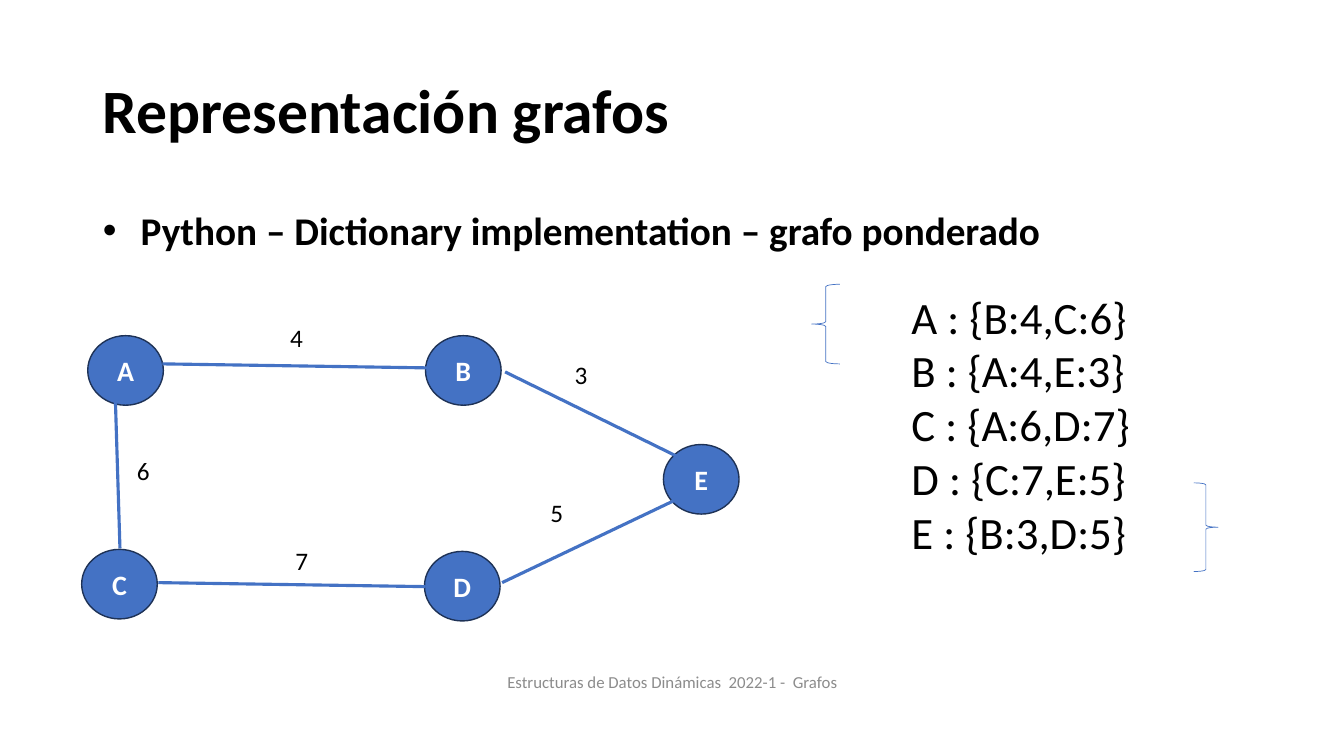
from dataclasses import dataclass

from lxml.etree import SubElement
from pptx import Presentation
from pptx.dml.color import RGBColor
from pptx.enum.shapes import MSO_CONNECTOR, MSO_SHAPE
from pptx.enum.text import MSO_ANCHOR, PP_ALIGN
from pptx.oxml.ns import qn
from pptx.shapes.base import BaseShape
from pptx.slide import Slide
from pptx.util import Inches, Pt

BLUE = "4472C4"
NAVY = "1E3256"
BLACK = "000000"
WHITE = "FFFFFF"
GREY = "8C8C8C"
FONT = "Calibri"
NODE_WIDTH, NODE_HEIGHT = 0.75, 0.69
LABEL_WIDTH, LABEL_HEIGHT = 0.51, 0.4


@dataclass(frozen=True)
class Node:
    name: str
    left: float
    top: float


@dataclass(frozen=True)
class Edge:
    ends: str
    weight: int
    start: tuple[float, float]
    finish: tuple[float, float]
    label: tuple[float, float]


@dataclass(frozen=True)
class Brace:
    kind: MSO_SHAPE
    left: float
    top: float
    width: float
    height: float


NODES = [
    Node("A", 0.87, 3.33),
    Node("B", 4.22, 3.33),
    Node("C", 0.81, 5.45),
    Node("D", 4.21, 5.47),
    Node("E", 6.58, 4.41),
]
EDGES = [
    Edge("AB", 4, (1.61, 3.61), (4.27, 3.65), (2.78, 3.15)),
    Edge("AC", 6, (1.14, 3.82), (1.19, 5.44), (1.26, 4.47)),
    Edge("BE", 3, (5.01, 3.69), (6.72, 4.53), (5.6, 3.52)),
    Edge("CD", 7, (1.57, 5.78), (4.22, 5.82), (2.83, 5.36)),
    Edge("DE", 5, (4.98, 5.78), (6.72, 4.95), (5.36, 4.88)),
]
BRACES = [
    Brace(MSO_SHAPE.LEFT_BRACE, 8.05, 2.82, 0.28, 0.79),
    Brace(MSO_SHAPE.RIGHT_BRACE, 11.84, 4.79, 0.24, 0.88),
]


def rgb(value: str) -> RGBColor:
    return RGBColor.from_string(value)


def place(shape: BaseShape, left: float, top: float, width: float, height: float) -> None:
    shape.left, shape.top = Inches(left), Inches(top)
    shape.width, shape.height = Inches(width), Inches(height)


def write(shape: BaseShape, lines: list[str], size: float, colour: str = BLACK,
          bold: bool = False, align: PP_ALIGN = PP_ALIGN.LEFT,
          anchor: MSO_ANCHOR = MSO_ANCHOR.TOP) -> None:
    frame = shape.text_frame
    frame.word_wrap = True
    frame.vertical_anchor = anchor
    frame.text = "\n".join(lines)
    for para in frame.paragraphs:
        para.alignment = align
        para.font.name = FONT
        para.font.size = Pt(size)
        para.font.bold = bold
        para.font.color.rgb = rgb(colour)


def add_text(page: Slide, left: float, top: float, width: float, height: float) -> BaseShape:
    return page.shapes.add_textbox(Inches(left), Inches(top), Inches(width), Inches(height))


def add_heading(page: Slide) -> None:
    title = page.shapes.title
    place(title, 0.92, 0.4, 11.5, 1.45)
    write(title, ["Representación grafos"], 44, bold=True, anchor=MSO_ANCHOR.MIDDLE)
    title.text_frame.paragraphs[0].line_spacing = 0.9


def add_topic(page: Slide) -> None:
    body = page.placeholders[1]
    place(body, 0.92, 2, 11.5, 4.76)
    para = body.text_frame.paragraphs[0]
    properties = para._p.get_or_add_pPr()
    properties.set("marL", str(Inches(0.25)))
    properties.set("indent", str(Inches(-0.25)))
    SubElement(properties, qn("a:buFont")).set("typeface", FONT)
    SubElement(properties, qn("a:buChar")).set("char", "▪")
    write(body, ["Python – Dictionary implementation – grafo ponderado"], 28,
          bold=True, align=PP_ALIGN.JUSTIFY)
    para.line_spacing = 0.9
    para.space_before = Pt(0)


def add_node(page: Slide, node: Node) -> None:
    circle = page.shapes.add_shape(MSO_SHAPE.OVAL, Inches(node.left), Inches(node.top),
                                   Inches(NODE_WIDTH), Inches(NODE_HEIGHT))
    circle.shadow.inherit = False
    circle.fill.solid()
    circle.fill.fore_color.rgb = rgb(BLUE)
    circle.line.color.rgb = rgb(NAVY)
    circle.line.width = Pt(1)
    write(circle, [node.name], 20, WHITE, True, PP_ALIGN.CENTER, MSO_ANCHOR.MIDDLE)


def add_edge(page: Slide, edge: Edge) -> None:
    points = [Inches(value) for value in edge.start + edge.finish]
    line = page.shapes.add_connector(MSO_CONNECTOR.STRAIGHT, *points)
    line.line.color.rgb = rgb(BLUE)
    line.line.width = Pt(2.25)
    SubElement(line._element.spPr, qn("a:effectLst"))
    label = add_text(page, *edge.label, LABEL_WIDTH, LABEL_HEIGHT)
    write(label, [str(edge.weight)], 18)


def add_brace(page: Slide, brace: Brace) -> None:
    shape = page.shapes.add_shape(brace.kind, Inches(brace.left), Inches(brace.top),
                                  Inches(brace.width), Inches(brace.height))
    shape.shadow.inherit = False
    shape.fill.background()
    shape.line.color.rgb = rgb(BLUE)
    shape.line.width = Pt(0.5)


def dictionary_line(name: str) -> str:
    pairs = [f"{edge.ends.replace(name, '')}:{edge.weight}" for edge in EDGES if name in edge.ends]
    return f"{name} : {{{','.join(pairs)}}}"


def main() -> None:
    deck = Presentation()
    deck.slide_width, deck.slide_height = Inches(13.33), Inches(7.5)
    page = deck.slides.add_slide(deck.slide_layouts[1])
    add_heading(page)
    add_topic(page)
    for node in NODES:
        add_node(page, node)
    for edge in EDGES:
        add_edge(page, edge)
    for brace in BRACES:
        add_brace(page, brace)
    dictionary = add_text(page, 8.94, 2.82, 3.52, 2.79)
    write(dictionary, [dictionary_line(node.name) for node in NODES], 32)
    footer = add_text(page, 4.42, 6.56, 4.5, 0.4)
    write(footer, ["Estructuras de Datos Dinámicas  2022-1 -  Grafos"], 12, GREY,
          align=PP_ALIGN.CENTER, anchor=MSO_ANCHOR.MIDDLE)
    deck.save("out.pptx")


if __name__ == "__main__":
    main()
